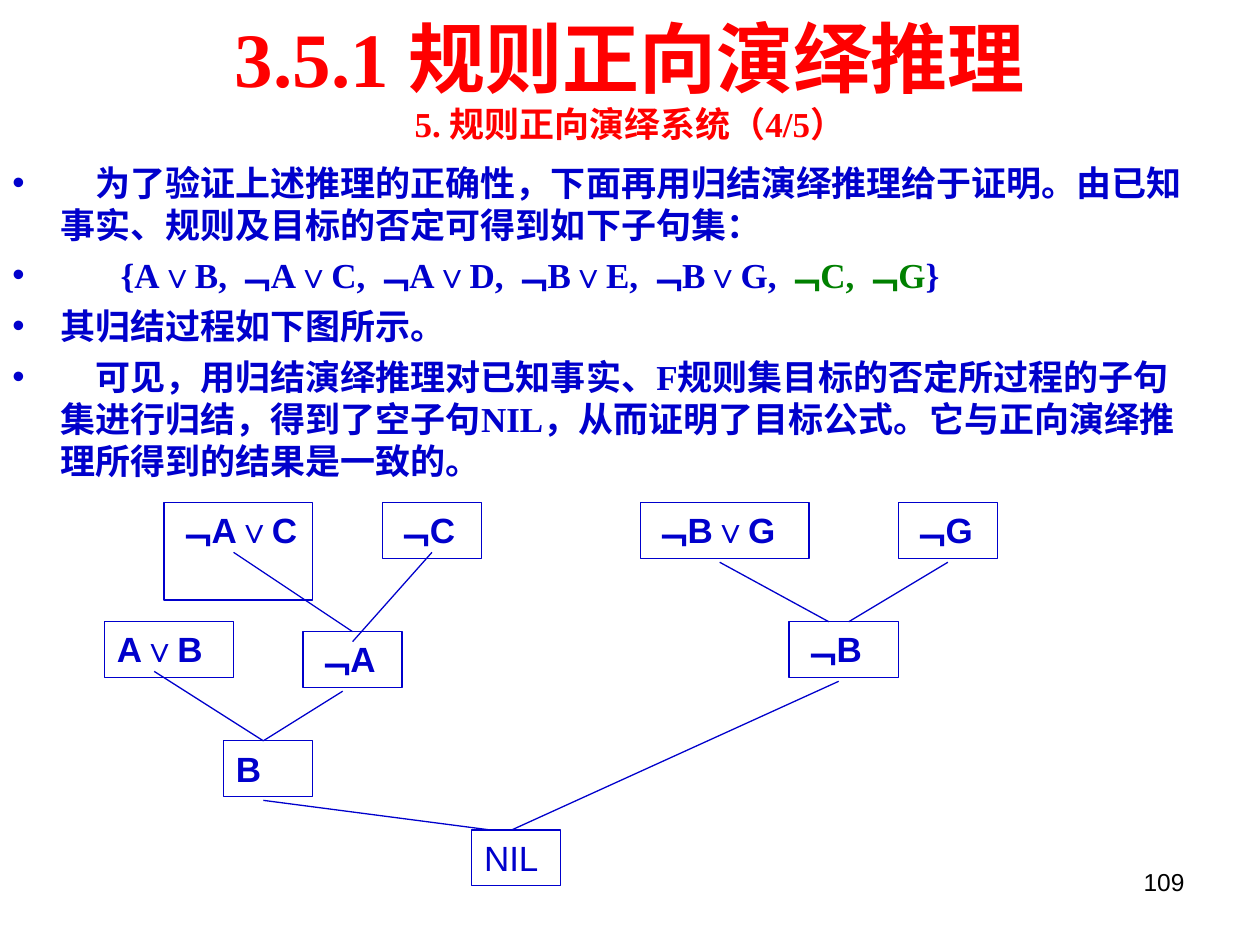
from typing import NamedTuple

from lxml.etree import SubElement
from pptx import Presentation
from pptx.dml.color import RGBColor
from pptx.enum.shapes import MSO_CONNECTOR
from pptx.enum.text import MSO_ANCHOR as Anchor, MSO_AUTO_SIZE as AutoSize, PP_ALIGN as Align
from pptx.oxml.ns import qn
from pptx.util import Inches, Pt

RED = RGBColor(0xFF, 0x00, 0x00)
BLUE = RGBColor(0x00, 0x00, 0xCC)
GREEN = RGBColor(0x00, 0x80, 0x00)
BLACK = RGBColor(0x00, 0x00, 0x00)
SERIF, SANS = "Times New Roman", "Arial"

WIDTH, HEIGHT = Inches(10), Inches(7.5)
# The proof tree sits on a grid of square cells.
CELL = Inches(1 / 12.7)
TREE_LEFT, TREE_TOP = Inches(0.83), Inches(3.99)
BOX_ROWS = 5.6
LINE_WIDTH = Pt(0.75)


class Run(NamedTuple):
    text: str
    color: RGBColor = BLUE
    size: float = 20
    font: str = SERIF
    bold: bool = True


class Bullet(NamedTuple):
    runs: list[Run]
    hanging: float = 0.38


class Clause(NamedTuple):
    text: str
    column: float
    row: float
    columns: float
    rows: float = BOX_ROWS
    bold: bool = True


class Edge(NamedTuple):
    start: tuple[float, float]
    end: tuple[float, float]


BULLETS = [
    Bullet([Run("　为了验证上述推理的正确性，下面再用归结演绎推理给于证明。"
                "由已知事实、规则及目标的否定可得到如下子句集：")]),
    Bullet([Run("{A∨B, ﹁A∨C, ﹁A∨D, ﹁B∨E, ﹁B∨G, "),
            Run("﹁C, ﹁G", GREEN), Run("}")], hanging=0.86),
    Bullet([Run("其归结过程如下图所示。")]),
    Bullet([Run("　可见，用归结演绎推理对已知事实、F规则集目标的否定所过程的子句集进行归结，"
                "得到了空子句NIL，从而证明了目标公式。它与正向演绎推理所得到的结果是一致的。")]),
]

CLAUSES = [
    Clause("﹁A∨C", 6, 0, 15, rows=9.8),
    Clause("﹁C", 28, 0, 10),
    Clause("﹁B∨G", 54, 0, 17),
    Clause("﹁G", 80, 0, 10),
    Clause("A∨B", 0, 12, 13),
    Clause("﹁A", 20, 13, 10),
    Clause("﹁B", 69, 12, 11),
    Clause("B", 12, 24, 9),
    Clause("NIL", 37, 33, 9, bold=False),
]

EDGES = [
    Edge((13, 5), (25, 13)),
    Edge((33, 5), (25, 14)),
    Edge((5, 17), (16, 24)),
    Edge((24, 19), (16, 24)),
    Edge((16, 30), (39, 33)),
    Edge((62, 6), (73, 12)),
    Edge((85, 6), (75, 12)),
    Edge((74, 18), (41, 33)),
]


def grid_point(column: float, row: float) -> tuple[int, int]:
    return round(TREE_LEFT + column * CELL), round(TREE_TOP + row * CELL)


def add_run(paragraph, run: Run) -> None:
    text_run = paragraph.add_run()
    text_run.text = run.text
    font = text_run.font
    font.name, font.size, font.bold = run.font, Pt(run.size), run.bold
    font.color.rgb = run.color


def add_text_box(slide, left: float, top: float, width: float, height: float):
    """Add a wrapping text box whose lengths are shares of the slide's size."""
    shape = slide.shapes.add_textbox(round(left * WIDTH), round(top * HEIGHT),
                                     round(width * WIDTH), round(height * HEIGHT))
    shape.text_frame.word_wrap = True
    return shape


def add_title(slide) -> None:
    frame = add_text_box(slide, 0.05, 0, 0.9, 0.164).text_frame
    frame.vertical_anchor = Anchor.MIDDLE
    paragraph = frame.paragraphs[0]
    paragraph.alignment = Align.CENTER
    add_run(paragraph, Run("3.5.1 规则正向演绎推理", RED, 44))
    paragraph.add_line_break()
    add_run(paragraph, Run("5. 规则正向演绎系统（4/5）", RED))


def set_bullet(paragraph, hanging: float) -> None:
    """Put a blue bullet at the left edge and the text after the hanging indent."""
    properties = paragraph._p.get_or_add_pPr()
    properties.set("marL", str(Inches(hanging)))
    properties.set("indent", str(-Inches(hanging)))
    color = SubElement(properties, qn("a:buClr"))
    SubElement(color, qn("a:srgbClr"), val=str(BLUE))
    SubElement(properties, qn("a:buFont"), typeface=SANS)
    SubElement(properties, qn("a:buChar"), char="•")


def add_body(slide) -> None:
    frame = add_text_box(slide, 0, 0.164, 0.95, 0.836).text_frame
    for index, bullet in enumerate(BULLETS):
        paragraph = frame.add_paragraph() if index else frame.paragraphs[0]
        paragraph.space_before = Pt(5)
        set_bullet(paragraph, bullet.hanging)
        for run in bullet.runs:
            add_run(paragraph, run)


def add_clause(slide, clause: Clause) -> None:
    left, top = grid_point(clause.column, clause.row)
    box = slide.shapes.add_textbox(left, top, round(clause.columns * CELL),
                                   round(clause.rows * CELL))
    box.line.color.rgb = BLUE
    box.line.width = LINE_WIDTH
    frame = box.text_frame
    frame.word_wrap = True
    frame.auto_size = AutoSize.SHAPE_TO_FIT_TEXT
    paragraph = frame.paragraphs[0]
    paragraph.space_before = Pt(12.5)
    add_run(paragraph, Run(clause.text, font=SANS, bold=clause.bold))


def add_edge(slide, edge: Edge) -> None:
    connector = slide.shapes.add_connector(
        MSO_CONNECTOR.STRAIGHT, *grid_point(*edge.start), *grid_point(*edge.end))
    connector.line.color.rgb = BLUE
    connector.line.width = LINE_WIDTH
    SubElement(connector._element.spPr, qn("a:effectLst"))


def add_page_number(slide) -> None:
    frame = add_text_box(slide, 0.717, 0.911, 0.233, 0.069).text_frame
    paragraph = frame.paragraphs[0]
    paragraph.alignment = Align.RIGHT
    add_run(paragraph, Run("109", BLACK, 14, SANS, bold=False))


def main() -> None:
    presentation = Presentation()
    presentation.slide_width, presentation.slide_height = WIDTH, HEIGHT
    slide = presentation.slides.add_slide(presentation.slide_layouts[6])
    add_title(slide)
    add_body(slide)
    for clause in CLAUSES:
        add_clause(slide, clause)
    for edge in EDGES:
        add_edge(slide, edge)
    add_page_number(slide)
    presentation.save("out.pptx")


if __name__ == "__main__":
    main()
